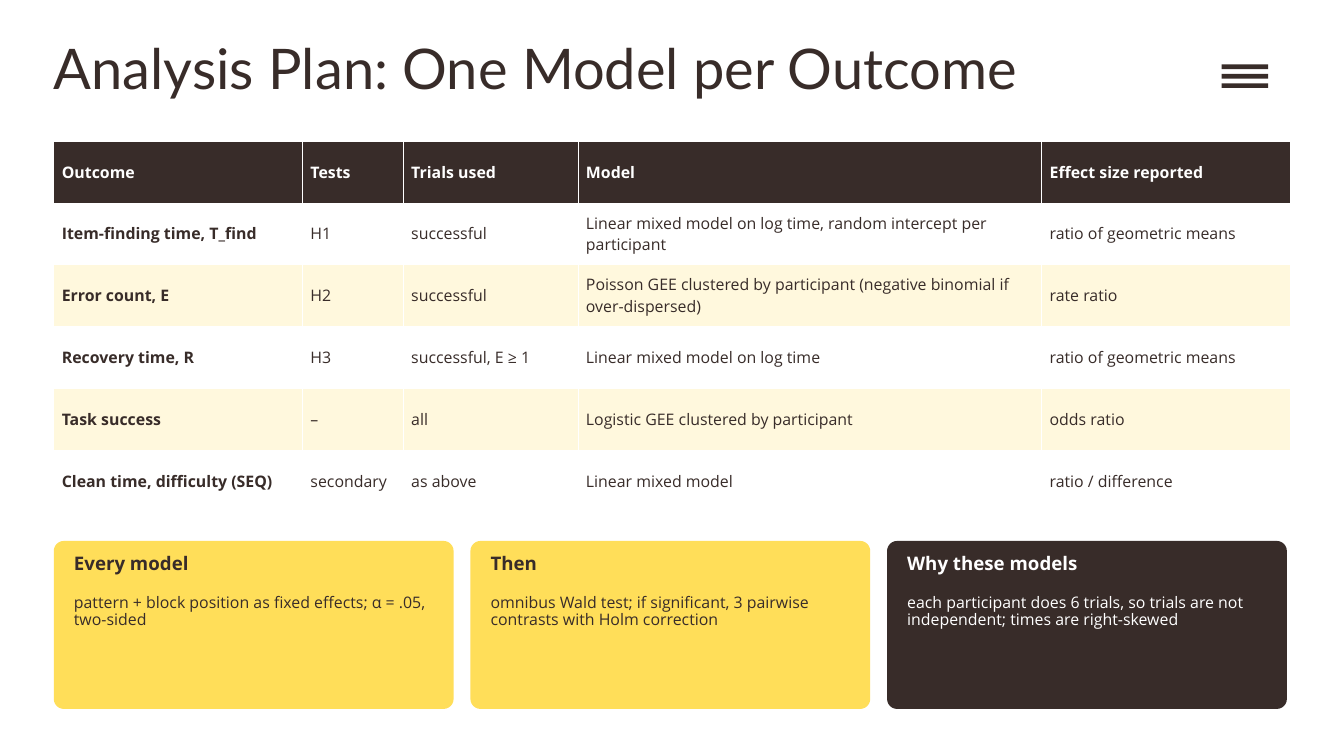
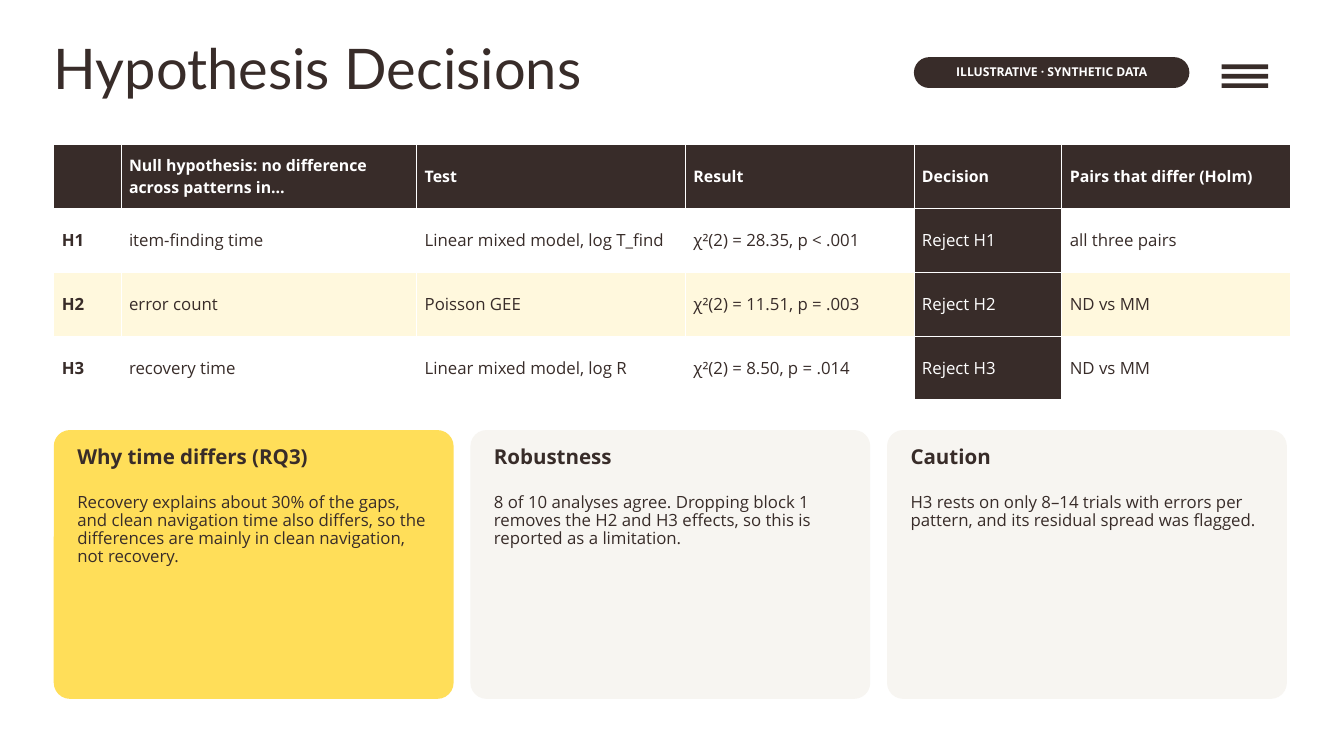
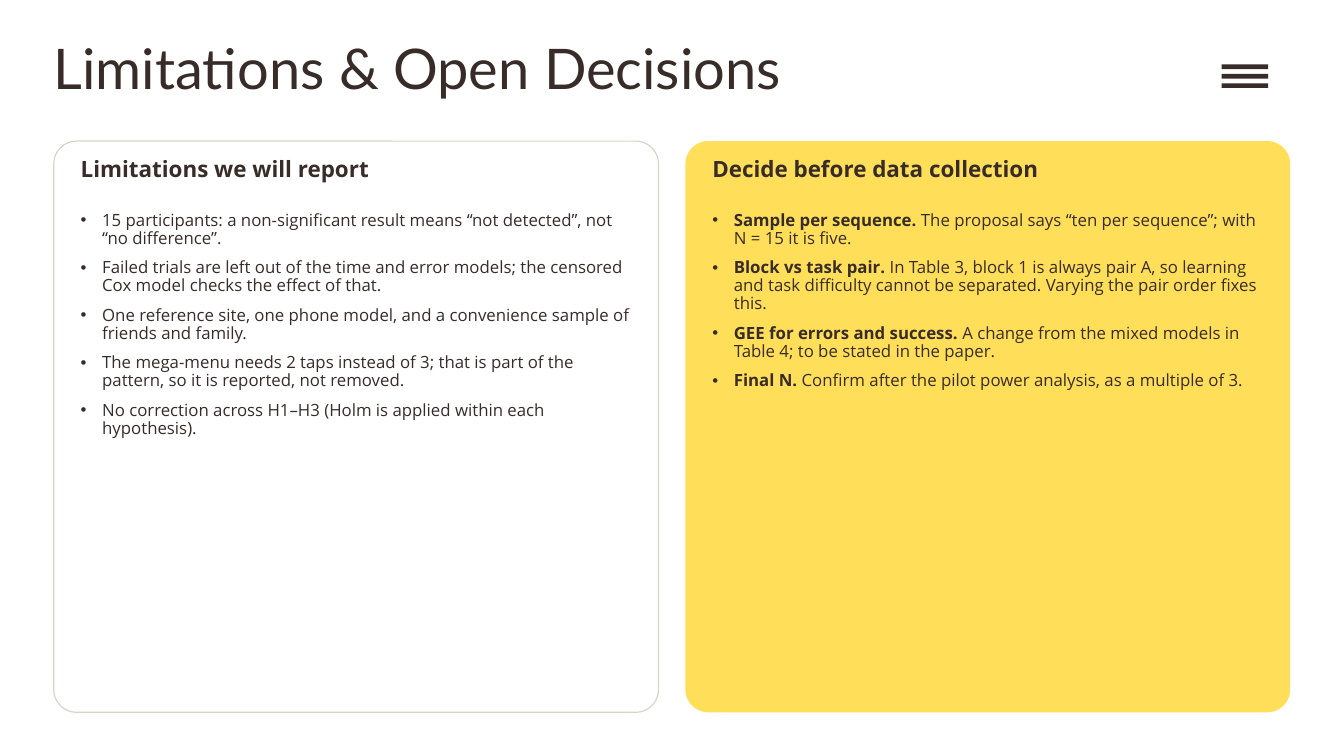
from dataclasses import dataclass

from lxml import etree
from pptx import Presentation
from pptx.dml.color import RGBColor
from pptx.enum import shapes, text
from pptx.oxml import ns
from pptx.util import Inches, Pt


@dataclass(frozen=True)
class Theme:
    """Colours, fonts, type sizes and margins shared by all slides."""
    dark: str = "382C29"
    yellow: str = "FFDE59"
    cream: str = "FFF8DD"
    sand: str = "F7F5F1"
    outline: str = "D9D2C5"
    white: str = "FFFFFF"
    title_font: str = "Lato"
    body_font: str = "Open Sans"
    title_size: int = 60
    panel_heading: int = 24
    body_size: int = 18
    table_head: int = 17
    pill_size: int = 13
    line_spacing: float = 0.9
    left: float = 0.8
    width: float = 18.4


THEME = Theme()


@dataclass(frozen=True)
class CardStyle:
    """Inner layout of a card: padding, heading and body offsets, type sizes."""
    pad: float
    heading_top: float
    heading_height: float
    body_top: float
    body_bottom: float
    heading_size: int
    body_size: int


COMPACT = CardStyle(0.3, 0.2, 0.5, 0.8, 0.1, 20, 17)
ROOMY = CardStyle(0.35, 0.25, 0.6, 0.95, 0.15, 22, 18)


def place(shape, box):
    shape.left, shape.top, shape.width, shape.height = map(Inches, box)


def add_bullet(para):
    """Give a paragraph a round bullet with a hanging indent."""
    properties = para._p.get_or_add_pPr()
    properties.set("marL", str(Inches(0.32)))
    properties.set("indent", str(-Inches(0.32)))
    etree.SubElement(properties, ns.qn("a:buFont")).set("typeface", "Arial")
    etree.SubElement(properties, ns.qn("a:buChar")).set("char", "•")


def write(frame, paragraphs, *, size, color=THEME.dark, font=THEME.body_font,
          bold=False, align=text.PP_ALIGN.LEFT, anchor=text.MSO_ANCHOR.TOP,
          insets=(0, 0, 0, 0), spacing=THEME.line_spacing, after=0, bullets=False):
    """Fill a text frame; a (lead, rest) paragraph starts with a bold lead."""
    frame.word_wrap = True
    frame.auto_size = text.MSO_AUTO_SIZE.NONE
    frame.vertical_anchor = anchor
    (frame.margin_left, frame.margin_top,
     frame.margin_right, frame.margin_bottom) = map(Inches, insets)
    if isinstance(paragraphs, str):
        paragraphs = [paragraphs]
    for index, content in enumerate(paragraphs):
        para = frame.add_paragraph() if index else frame.paragraphs[0]
        if bullets:
            add_bullet(para)
        para.alignment = align
        para.line_spacing = spacing
        para.space_before, para.space_after = Pt(0), Pt(after)
        if isinstance(content, str):
            spans = [(content, bold)]
        else:
            spans = [(content[0], True), (content[1], False)]
        for words, heavy in spans:
            span = para.add_run()
            span.text = words
            span.font.name = font
            span.font.size = Pt(size)
            span.font.bold = heavy
            span.font.color.rgb = RGBColor.from_string(color)


def add_text(page, box, words, **style):
    label = page.shapes.add_textbox(*map(Inches, box))
    write(label.text_frame, words, **style)


def add_block(parent, kind, box, fill, line=None, corner=None):
    """Add a flat preset shape to a slide or group."""
    block = parent.shapes.add_shape(kind, *map(Inches, box))
    block.shadow.inherit = False
    block.fill.solid()
    block.fill.fore_color.rgb = RGBColor.from_string(fill)
    if line:
        block.line.color.rgb = RGBColor.from_string(line)
        block.line.width = Pt(1.25)
    else:
        block.line.fill.background()
    if corner is not None:
        block.adjustments[0] = corner
    return block


def add_rounded(page, box, fill, corner, line=None):
    return add_block(page, shapes.MSO_SHAPE.ROUNDED_RECTANGLE, box, fill, line, corner)


def add_page(deck, layout, title):
    """Add a slide with its title and the three-bar menu mark."""
    page = deck.slides.add_slide(deck.slide_layouts.get_by_name(layout))
    place(page.shapes.title, (THEME.left, 0.5, 16.5, 1.35))
    write(page.shapes.title.text_frame, title, size=THEME.title_size,
          font=THEME.title_font, spacing=1.0)
    menu = page.shapes.add_group_shape()
    for bar in range(3):
        add_block(menu, shapes.MSO_SHAPE.RECTANGLE,
                  (18.18, 0.96 + 0.14 * bar, 0.69, 0.07), THEME.dark)
    return page


def add_pill(page, box, words):
    pill = add_rounded(page, box, THEME.dark, 0.5)
    write(pill.text_frame, words, size=THEME.pill_size, color=THEME.white, bold=True,
          align=text.PP_ALIGN.CENTER, anchor=text.MSO_ANCHOR.MIDDLE,
          insets=(0.15, 0.06, 0.15, 0.06), after=2)


def add_borders(cell):
    properties = cell._tc.get_or_add_tcPr()
    for side in ("lnL", "lnR", "lnT", "lnB"):
        line = etree.SubElement(properties, ns.qn(f"a:{side}"), w=str(Pt(1)))
        fill = etree.SubElement(line, ns.qn("a:solidFill"))
        etree.SubElement(fill, ns.qn("a:srgbClr"), val=THEME.white)


def add_grid(page, top, row_height, widths, rows, body_size, dark_column=None):
    """Add a table with a dark head, striped rows and a bold first column."""
    box = (THEME.left, top, THEME.width, row_height * len(rows))
    table = page.shapes.add_table(len(rows), len(widths), *map(Inches, box)).table
    for column, width in zip(table.columns, widths):
        column.width = Inches(width)
    for r, values in enumerate(rows):
        table.rows[r].height = Inches(row_height)
        for c, value in enumerate(values):
            cell = table.cell(r, c)
            dark = r == 0 or c == dark_column
            stripe = THEME.white if r % 2 else THEME.cream
            add_borders(cell)
            cell.fill.solid()
            cell.fill.fore_color.rgb = RGBColor.from_string(THEME.dark if dark else stripe)
            cell.vertical_anchor = text.MSO_ANCHOR.MIDDLE
            cell.margin_left = cell.margin_right = Inches(0.12)
            cell.margin_top = cell.margin_bottom = Inches(0.05)
            if value:
                para = cell.text_frame.paragraphs[0]
                span = para.add_run()
                span.text = value
                span.font.name = THEME.body_font
                span.font.size = Pt(body_size if r else THEME.table_head)
                span.font.bold = r == 0 or c == 0
                span.font.color.rgb = RGBColor.from_string(
                    THEME.white if dark else THEME.dark)


def add_card(page, box, style, fill, heading, body):
    left, top, width, height = box
    color = THEME.white if fill == THEME.dark else THEME.dark
    add_rounded(page, box, fill, 0.06)
    # Text keeps a little extra room on the right of a compact card
    inner_left = left + style.pad
    inner_width = 5.4 if style is COMPACT else width - 2 * style.pad
    add_text(page, (inner_left, top + style.heading_top, inner_width, style.heading_height),
             heading, size=style.heading_size, color=color, bold=True, after=6)
    add_text(page, (inner_left, top + style.body_top, inner_width,
                    height - style.body_top - style.body_bottom),
             body, size=style.body_size, color=color, after=6)


def add_card_row(page, top, height, style, cards):
    width, gap = 5.95, 0.25
    for index, card in enumerate(cards):
        left = THEME.left + index * (width + gap)
        add_card(page, (left, top, width, height), style, *card)


def add_list_panel(page, box, body, fill, line, heading, items):
    """Put a panel behind a body placeholder and fill it with bullets."""
    left, top, width, _ = box
    panel = add_rounded(page, box, fill, 0.04, line)
    body.element.addprevious(panel.element)
    add_text(page, (left + 0.4, top + 0.25, width - 0.8, 0.6), heading,
             size=THEME.panel_heading, bold=True, after=6)
    place(body, (left + 0.4, top + 1.05, 8.25, 7.3))
    write(body.text_frame, items, size=THEME.body_size, after=12, bullets=True)


def build_analysis_plan(deck):
    page = add_page(deck, "Title Only", "Analysis Plan: One Model per Outcome")
    add_grid(page, 2.1, 0.92, (3.7, 1.5, 2.6, 6.9, 3.7), [
        ("Outcome", "Tests", "Trials used", "Model", "Effect size reported"),
        ("Item-finding time, T_find", "H1", "successful",
         "Linear mixed model on log time, random intercept per participant",
         "ratio of geometric means"),
        ("Error count, E", "H2", "successful",
         "Poisson GEE clustered by participant (negative binomial if over-dispersed)",
         "rate ratio"),
        ("Recovery time, R", "H3", "successful, E ≥ 1",
         "Linear mixed model on log time", "ratio of geometric means"),
        ("Task success", "–", "all", "Logistic GEE clustered by participant", "odds ratio"),
        ("Clean time, difficulty (SEQ)", "secondary", "as above",
         "Linear mixed model", "ratio / difference"),
    ], body_size=17)
    add_card_row(page, 8.05, 2.5, COMPACT, [
        (THEME.yellow, "Every model",
         "pattern + block position as fixed effects; α = .05, two-sided"),
        (THEME.yellow, "Then",
         "omnibus Wald test; if significant, 3 pairwise contrasts with Holm correction"),
        (THEME.dark, "Why these models",
         "each participant does 6 trials, so trials are not independent; "
         "times are right-skewed"),
    ])


def build_decisions(deck):
    page = add_page(deck, "Title Only", "Hypothesis Decisions")
    add_pill(page, (13.6, 0.85, 4.1, 0.46), "ILLUSTRATIVE · SYNTHETIC DATA")
    add_grid(page, 2.15, 0.95, (1, 4.4, 4, 3.4, 2.2, 3.4), [
        ("", "Null hypothesis: no difference across patterns in…", "Test", "Result",
         "Decision", "Pairs that differ (Holm)"),
        ("H1", "item-finding time", "Linear mixed model, log T_find",
         "χ²(2) = 28.35, p < .001", "Reject H1", "all three pairs"),
        ("H2", "error count", "Poisson GEE",
         "χ²(2) = 11.51, p = .003", "Reject H2", "ND vs MM"),
        ("H3", "recovery time", "Linear mixed model, log R",
         "χ²(2) = 8.50, p = .014", "Reject H3", "ND vs MM"),
    ], body_size=18, dark_column=4)
    add_card_row(page, 6.4, 4, ROOMY, [
        (THEME.yellow, "Why time differs (RQ3)",
         "Recovery explains about 30% of the gaps, and clean navigation time also "
         "differs, so the differences are mainly in clean navigation, not recovery."),
        (THEME.sand, "Robustness",
         "8 of 10 analyses agree. Dropping block 1 removes the H2 and H3 effects, "
         "so this is reported as a limitation."),
        (THEME.sand, "Caution",
         "H3 rests on only 8–14 trials with errors per pattern, and its residual "
         "spread was flagged."),
    ])


def build_limitations(deck):
    page = add_page(deck, "Two Content", "Limitations & Open Decisions")
    panels = [
        (THEME.white, THEME.outline, "Limitations we will report", [
            "15 participants: a non-significant result means “not detected”, "
            "not “no difference”.",
            "Failed trials are left out of the time and error models; the censored "
            "Cox model checks the effect of that.",
            "One reference site, one phone model, and a convenience sample of "
            "friends and family.",
            "The mega-menu needs 2 taps instead of 3; that is part of the pattern, "
            "so it is reported, not removed.",
            "No correction across H1–H3 (Holm is applied within each hypothesis).",
        ]),
        (THEME.yellow, None, "Decide before data collection", [
            ("Sample per sequence. ",
             "The proposal says “ten per sequence”; with N = 15 it is five."),
            ("Block vs task pair. ",
             "In Table 3, block 1 is always pair A, so learning and task difficulty "
             "cannot be separated. Varying the pair order fixes this."),
            ("GEE for errors and success. ",
             "A change from the mixed models in Table 4; to be stated in the paper."),
            ("Final N. ", "Confirm after the pilot power analysis, as a multiple of 3."),
        ]),
    ]
    width, gap = 9, 0.4
    bodies = [page.placeholders[1], page.placeholders[2]]
    for index, (body, panel) in enumerate(zip(bodies, panels)):
        left = THEME.left + index * (width + gap)
        add_list_panel(page, (left, 2.1, width, 8.5), body, *panel)


def main():
    deck = Presentation()
    deck.slide_width, deck.slide_height = Inches(20), Inches(11.25)
    build_analysis_plan(deck)
    build_decisions(deck)
    build_limitations(deck)
    deck.save("out.pptx")


if __name__ == "__main__":
    main()
